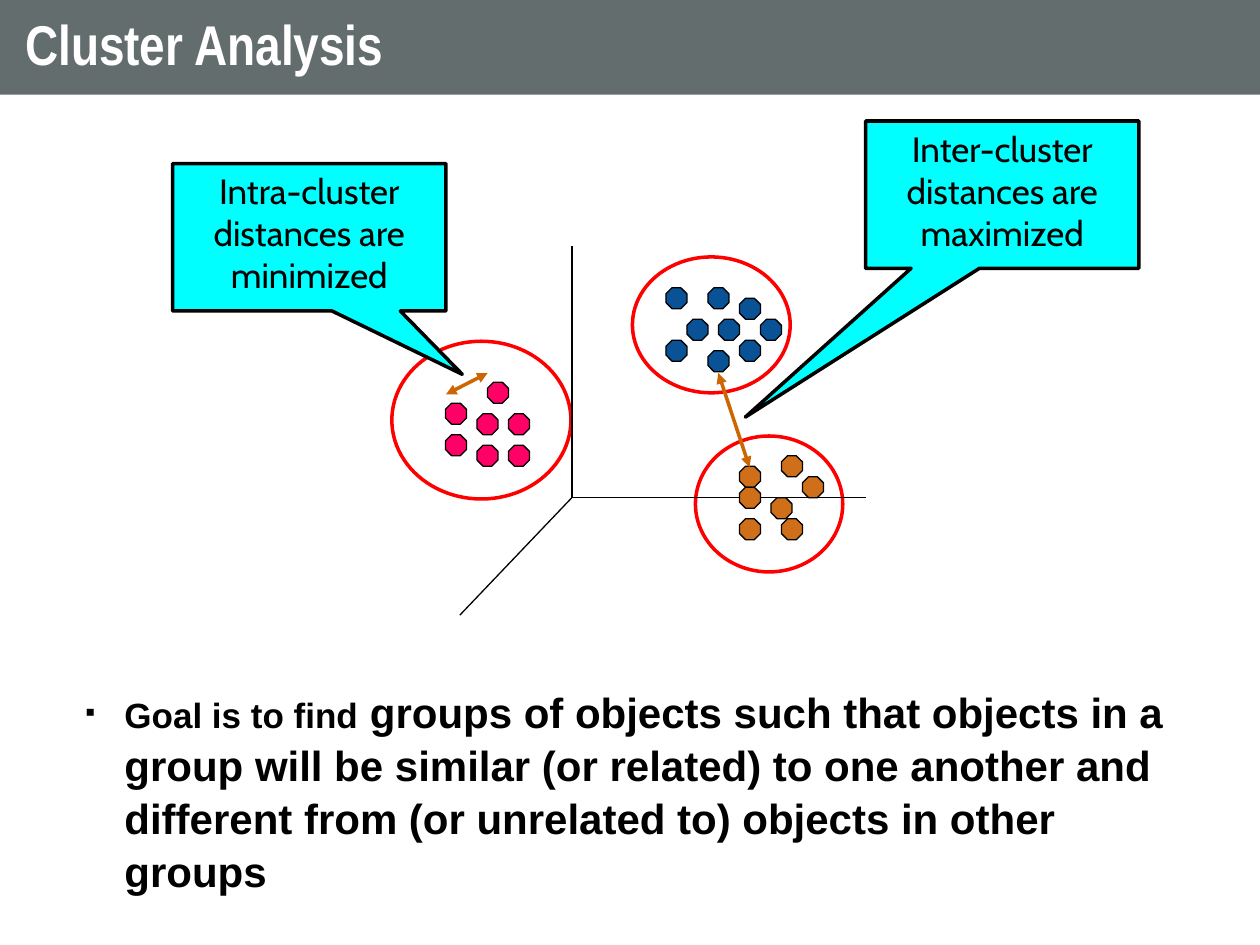
import pptx
import pptx.util
import pptx.dml.color
import pptx.enum.shapes
import pptx.enum.text
import pptx.oxml
import pptx.oxml.ns

Cm, Pt = pptx.util.Cm, pptx.util.Pt
KIND = pptx.enum.shapes.MSO_SHAPE
ALIGN = pptx.enum.text.PP_ALIGN
ANCHOR = pptx.enum.text.MSO_ANCHOR

HUES = {
    "bar": "636D6E", "white": "FFFFFF", "black": "000000", "ring": "FF0000",
    "blue": "085295", "pink": "FF0066", "orange": "D06F1A",
    "arrow": "CC6600", "note": "00FFFF",
}

# Dots sit on a grid of twelfths of an inch; each is two steps wide
STEP = 2.54 / 12
LEFT, TOP = 8.98, 5.8
DOTS = {
    "blue": [(23, 3), (26, 3), (25, 0), (25, 6), (30, 3), (28, 1), (21, 0),
             (28, 5), (21, 5)],
    "pink": [(0, 11), (3, 12), (3, 15), (6, 12), (4, 9), (6, 15), (0, 14)],
    "orange": [(28, 17), (34, 18), (31, 20), (28, 22), (32, 22), (28, 19),
               (32, 16)],
}
RINGS = [(7.9, 6.88, 3.61, 3.18), (12.75, 5.18, 3.18, 2.74),
         (14.02, 8.79, 2.97, 2.74)]
ZERO = (11.53, 10.03)
ENDS = [(11.53, 4.95), (17.45, 10.03), (9.27, 12.4)]


def hue(name):
    return pptx.dml.color.RGBColor.from_string(HUES[name])


def add_xml(parent, tag, attrs="", inner=""):
    space = pptx.oxml.ns.nsdecls("a")
    parent.append(pptx.oxml.parse_xml(
        f"<a:{tag} {space} {attrs}>{inner}</a:{tag}>"))


def add_form(slide, kind, box, fill=None, line=None, width=0.75):
    form = slide.shapes.add_shape(kind, *map(Cm, box))
    form.shadow.inherit = False
    if fill:
        form.fill.solid()
        form.fill.fore_color.rgb = hue(fill)
    else:
        form.fill.background()
    if line:
        form.line.color.rgb = hue(line)
        form.line.width = Pt(width)
    else:
        form.line.fill.background()
    return form


def add_line(slide, start, end, color="black", width=0.75, heads=False):
    line = slide.shapes.add_connector(
        pptx.enum.shapes.MSO_CONNECTOR.STRAIGHT, *map(Cm, start + end))
    line.line.color.rgb = hue(color)
    line.line.width = Pt(width)
    if heads:
        for tag in ("headEnd", "tailEnd"):
            add_xml(line.line._get_or_add_ln(), tag, 'type="triangle"')
    add_xml(line._element.spPr, "effectLst")


def add_run(para, text, size, face, color="black", bold=False):
    run = para.add_run()
    run.text = text
    run.font.size = Pt(size)
    run.font.name = face
    run.font.bold = bold
    run.font.color.rgb = hue(color)


def add_title(slide, text):
    bar = add_form(slide, KIND.RECTANGLE, (0, 0, 25.4, 1.91), "bar")
    frame = bar.text_frame
    frame.vertical_anchor = ANCHOR.MIDDLE
    frame.margin_left = frame.margin_right = Cm(0.51)
    frame.margin_top = frame.margin_bottom = Cm(0.25)
    para = frame.paragraphs[0]
    para.alignment = ALIGN.LEFT
    para.line_spacing = 0.9
    add_run(para, text, 32, "Arial Narrow", "white", True)


def add_goal(slide, parts):
    frame = slide.shapes.add_textbox(
        Cm(1.47), Cm(13.67), Cm(22.45), Cm(3.61)).text_frame
    frame.word_wrap = True
    para = frame.paragraphs[0]
    props = para._p.get_or_add_pPr()
    props.set("marL", str(Cm(0.79)))
    props.set("indent", str(-Cm(0.79)))
    add_xml(props, "buClr", inner=f'<a:srgbClr val="{HUES["black"]}"/>')
    add_xml(props, "buSzPct", 'val="80000"')
    add_xml(props, "buFont", 'typeface="Arial"')
    add_xml(props, "buChar", 'char="▪"')
    para.line_spacing = 1.05
    for text, size in parts:
        add_run(para, text, size, "Arial", bold=True)


def add_note(slide, spot, tip, text):
    note = add_form(slide, KIND.RECTANGULAR_CALLOUT, spot + (5.51, 2.97),
                    "note", "black", 2)
    for index, value in enumerate(tip):
        note.adjustments[index] = value
    frame = note.text_frame
    frame.vertical_anchor = ANCHOR.TOP
    para = frame.paragraphs[0]
    para.alignment = ALIGN.CENTER
    add_run(para, text, 20, "Cabin")


def add_dots(slide, color, spots):
    for col, row in spots:
        box = (LEFT + col * STEP, TOP + row * STEP, 2 * STEP, 2 * STEP)
        add_form(slide, KIND.OCTAGON, box, color, "black")


def main():
    deck = pptx.Presentation()
    deck.slide_width, deck.slide_height = Cm(25.4), Cm(19.05)
    slide = deck.slides.add_slide(deck.slide_layouts[6])

    # Title and goal
    add_title(slide, "Cluster Analysis")
    add_goal(slide, [
        ("Goal is to find", 20),
        (" groups of objects such that objects in a group will be similar "
         "(or related) to one another and different from (or unrelated to) "
         "objects in other groups", 24),
    ])

    # Clusters on three axes
    for ring in RINGS:
        add_form(slide, KIND.OVAL, ring, line="ring", width=2)
    for end in ENDS:
        add_line(slide, ZERO, end)
    for color, spots in DOTS.items():
        add_dots(slide, color, spots)

    # Distances and their notes
    add_line(slide, (15.11, 9.42), (14.48, 7.52), "arrow", 2, True)
    add_note(slide, (17.45, 2.44), (-0.94, 1.51),
             "Inter-cluster distances are maximized")
    add_line(slide, (8.99, 7.95), (9.83, 7.52), "arrow", 2, True)
    add_note(slide, (3.48, 3.3), (0.56, 0.93),
             "Intra-cluster distances are minimized")

    deck.save("out.pptx")


if __name__ == "__main__":
    main()
